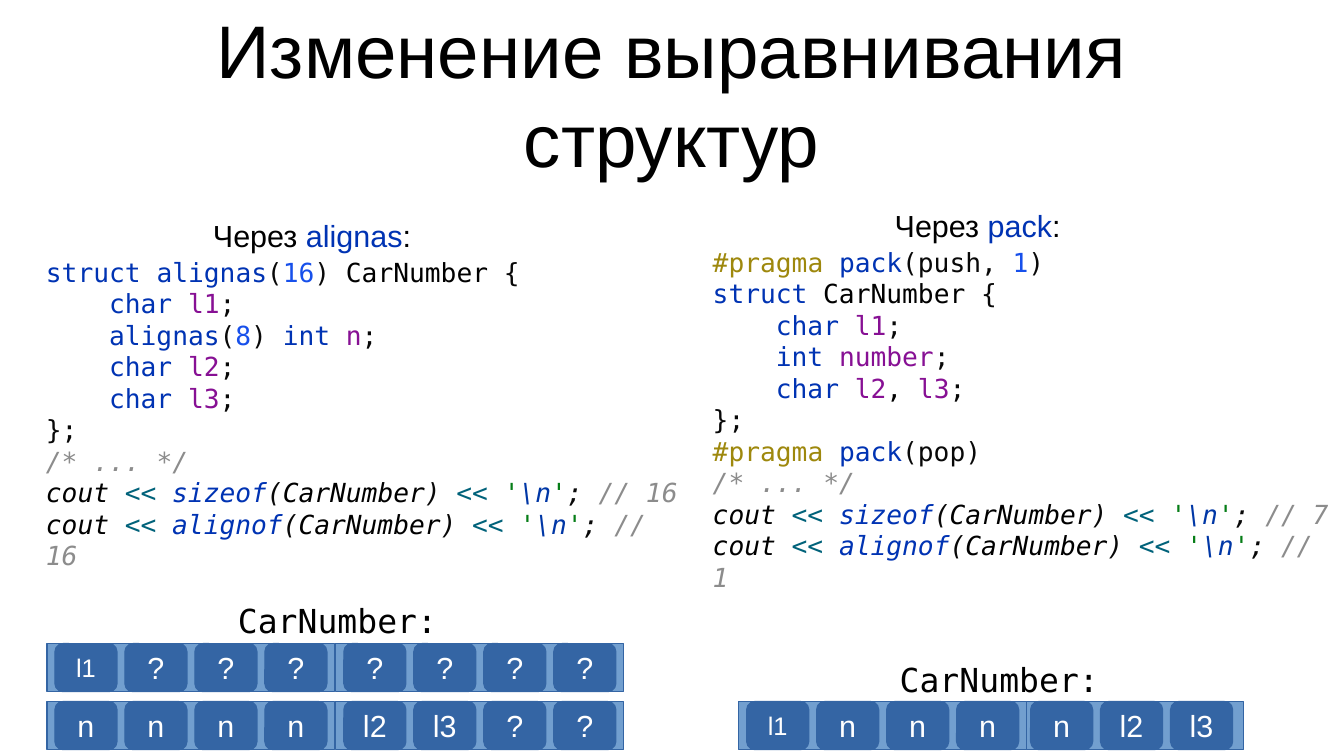
import pptx
import pptx.util
import pptx.dml.color
import pptx.enum.shapes
import pptx.enum.text

PX = 914400 // 122
SANS, MONO = "Arial", "DejaVu Sans Mono"
COLOURS = {
    "black": "000000", "code": "080808", "key": "0033B3", "num": "1750EB",
    "field": "871094", "macro": "9E880D", "note": "8C8C8C", "op": "00627A",
    "quote": "067D17", "escape": "0037A6", "white": "FFFFFF",
    "word": "729FCF", "byte": "3465A4",
}


def member(kind, name):
    return [("    ", "code"), (kind + " ", "key"), (name, "field"), (";", "code")]


def output(operator, result):
    """One cout line that prints sizeof or alignof of the struct."""
    return [("cout ", "black"), ("<< ", "op"), (operator, "key"), ("(", "code"),
            ("CarNumber", "black"), (") ", "code"), ("<< ", "op"), ("'", "quote"),
            ("\\n", "escape"), ("'", "quote"), ("; ", "code"),
            ("// " + result, "note")]


TITLE = "Изменение выравнивания структур"
ALIGNAS = [
    [("struct alignas", "key"), ("(", "code"), ("16", "num"), (") ", "code"),
     ("CarNumber ", "black"), ("{", "code")],
    member("char", "l1"),
    [("    ", "code"), ("alignas", "key"), ("(", "code"), ("8", "num"),
     (") ", "code"), ("int ", "key"), ("n", "field"), (";", "code")],
    member("char", "l2"),
    member("char", "l3"),
    [("};", "code")],
]
PACK = [
    [("#pragma ", "macro"), ("pack", "key"), ("(push, ", "code"), ("1", "num"),
     (")", "code")],
    [("struct ", "key"), ("CarNumber ", "black"), ("{", "code")],
    member("char", "l1"),
    member("int", "number"),
    [("    ", "code"), ("char ", "key"), ("l2", "field"), (",", "black"),
     (" l3", "field"), (";", "code")],
    [("};", "code")],
    [("#pragma ", "macro"), ("pack", "key"), ("(pop)", "code")],
]
# keyword, heading box, code box, code, printed result, label box
COLUMNS = [
    ("alignas", (201, 211, 235, 46), (34, 250, 666, 293), ALIGNAS, "16",
     (226, 595, 231, 57)),
    ("pack", (883, 201, 235, 46), (701, 240, 650, 336), PACK, "1",
     (888, 654, 231, 57)),
]
SIZES = {"alignas": "16", "pack": "7"}
# left, top, width, inset of the first byte, bytes
WORDS = [
    (47, 644, 288, 8, ["l1", "?", "?", "?"]),
    (336, 644, 288, 8, ["?", "?", "?", "?"]),
    (47, 702, 288, 8, ["n", "n", "n", "n"]),
    (336, 702, 288, 8, ["l2", "l3", "?", "?"]),
    (1016, 702, 228, 15, ["n", "l2", "l3"]),
    (739, 702, 288, 8, ["l1", "n", "n", "n"]),
]
BYTE_STEP, BYTE_WIDTH, BYTE_HEIGHT = 70, 62, 48


def px(*lengths):
    return [length * PX for length in lengths]


def rgb(name):
    return pptx.dml.color.RGBColor.from_string(COLOURS[name])


def write(frame, lines, size, font=SANS, italic_from=None, align=None):
    """Fill a text frame with lines of (text, colour) runs."""
    frame.word_wrap = True
    for i, line in enumerate(lines):
        para = frame.paragraphs[0] if i == 0 else frame.add_paragraph()
        para.alignment = align
        for text, colour in line:
            run = para.add_run()
            run.text = text
            run.font.size = pptx.util.Pt(size)
            run.font.name = font
            run.font.color.rgb = rgb(colour)
            if italic_from is not None and i >= italic_from:
                run.font.italic = True


def add_text(slide, box, lines, size, **form):
    write(slide.shapes.add_textbox(*px(*box)).text_frame, lines, size, **form)


def add_block(group, kind, box, fill):
    block = group.shapes.add_shape(kind, *px(*box))
    block.shadow.inherit = False
    block.fill.solid()
    block.fill.fore_color.rgb = rgb(fill)
    block.line.color.rgb = rgb("byte")
    block.line.width = 0
    return block


def add_word(slide, left, top, width, inset, names):
    kinds = pptx.enum.shapes.MSO_SHAPE
    group = slide.shapes.add_group_shape()
    add_block(group, kinds.RECTANGLE, (left, top, width, BYTE_HEIGHT), "word")
    for i, name in enumerate(names):
        box = (left + inset + i * BYTE_STEP, top, BYTE_WIDTH, BYTE_HEIGHT)
        block = add_block(group, kinds.ROUNDED_RECTANGLE, box, "byte")
        block.text_frame.vertical_anchor = pptx.enum.text.MSO_ANCHOR.MIDDLE
        write(block.text_frame, [[(name, "white")]], 15 if name == "l1" else 18,
              align=pptx.enum.text.PP_ALIGN.CENTER)


def set_title(title):
    title.left, title.top, title.width, title.height = px(67, 10, 1210, 167)
    frame = title.text_frame
    frame.margin_left = frame.margin_right = 0
    frame.margin_top = frame.margin_bottom = 0
    frame.vertical_anchor = pptx.enum.text.MSO_ANCHOR.MIDDLE
    frame.auto_size = pptx.enum.text.MSO_AUTO_SIZE.SHAPE_TO_FIT_TEXT
    write(frame, [[(TITLE, "black")]], 44, align=pptx.enum.text.PP_ALIGN.CENTER)


def main():
    deck = pptx.Presentation()
    deck.slide_width = pptx.util.Inches(11.02)
    deck.slide_height = pptx.util.Inches(6.2)
    slide = deck.slides.add_slide(deck.slide_layouts[5])
    set_title(slide.shapes.title)
    for word in WORDS:
        add_word(slide, *word)
    for keyword, head, body, code, alignment, label in COLUMNS:
        add_text(slide, head,
                 [[("Через ", "black"), (keyword, "key"), (":", "black")]], 18)
        lines = code + [[("/* ... */", "note")],
                        output("sizeof", SIZES[keyword]),
                        output("alignof", alignment)]
        add_text(slide, body, lines, 15.5, font=MONO, italic_from=len(code))
        add_text(slide, label, [[("CarNumber:", "black")]], 19.5, font=MONO)
    deck.save("out.pptx")


if __name__ == "__main__":
    main()
